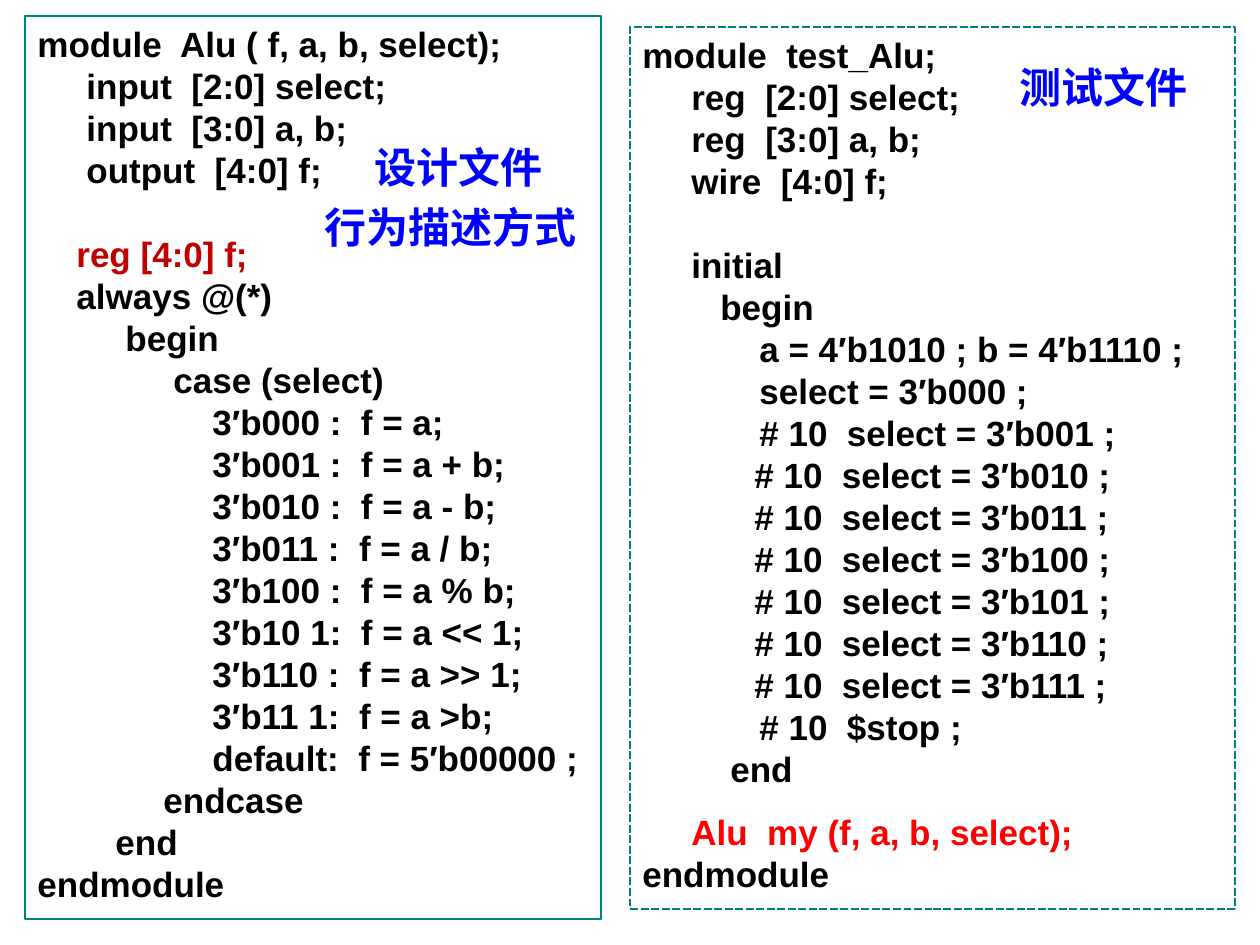
from lxml import etree
from pptx import Presentation
from pptx.dml.color import RGBColor
from pptx.enum.dml import MSO_LINE
from pptx.enum.shapes import MSO_SHAPE
from pptx.enum.text import MSO_ANCHOR, PP_ALIGN
from pptx.oxml.ns import qn
from pptx.util import Emu, Pt

RECT = MSO_SHAPE.RECTANGLE
SOLID, DASH = MSO_LINE.SOLID, MSO_LINE.SQUARE_DOT
TOP, MID, LEFT = MSO_ANCHOR.TOP, MSO_ANCHOR.MIDDLE, PP_ALIGN.LEFT
SCALE = 914400 / 126
BLACK, TEAL, BLUE, RED, DARK = "000000", "008080", "0000FF", "FF0000", "C00000"
CODE = {"name": "Arial", "size": Pt(20), "bold": True}
NOTE = {"name": "Noto Sans CJK SC", "size": Pt(24), "bold": True}

CASES = ["3′b000 :  f = a;", "3′b001 :  f = a + b;", "3′b010 :  f = a - b;",
         "3′b011 :  f = a / b;", "3′b100 :  f = a % b;", "3′b10 1:  f = a << 1;",
         "3′b110 :  f = a >> 1;", "3′b11 1:  f = a >b;", "default:  f = 5′b00000 ;"]
DESIGN = [
    (0, "module  Alu ( f, a, b, select);"),
    (49, "input  [2:0] select;"),
    (49, "input  [3:0] a, b;"),
    (49, "output  [4:0] f;"),
    (39, "reg [4:0] f;", DARK, 24),
    (39, "always @(*)"),
    (88, "begin"),
    (136, "case (select)"),
    *[(175, case) for case in CASES],
    (126, "endcase"),
    (78, "end"),
    (0, "endmodule"),
]
TEST = [
    (0, "module  test_Alu;"),
    (49, "reg  [2:0] select;"),
    (49, "reg  [3:0] a, b;"),
    (49, "wire  [4:0] f;"),
    (49, "initial", BLACK, 24),
    (78, "begin"),
    (117, "a = 4′b1010 ; b = 4′b1110 ;"),
    (117, "select = 3′b000 ;"),
    (117, "# 10  select = 3′b001 ;"),
    *[(112, f"# 10  select = 3′b{n:03b} ;") for n in range(2, 8)],
    (117, "# 10  $stop ;"),
    (88, "end"),
    (49, "Alu  my (f, a, b, select);", RED, 12),
    (0, "endmodule"),
]
NOTES = [("设计文件", 362, 135, 208), ("测试文件", 1007, 55, 208),
         ("行为描述方式", 312, 195, 287)]


def px(n):
    return Emu(round(n * SCALE))


def rgb(code):
    return RGBColor.from_string(code)


def style(item, form):
    for key, value in form.items():
        setattr(item, key, value)


def add_run(para, text, form, color):
    run = para.add_run()
    run.text = text
    style(run.font, form)
    run.font.color.rgb = rgb(color)
    east = etree.SubElement(run.font._element, qn("a:ea"))
    east.set("typeface", form["name"])


def add_code(slide, lines, box, dash):
    panel = slide.shapes.add_shape(RECT, *map(px, box))
    panel.shadow.inherit = False
    panel.fill.background()
    panel.line.color.rgb = rgb(TEAL)
    style(panel.line, {"width": Pt(1.5), "dash_style": dash})
    frame = panel.text_frame
    style(frame, {"word_wrap": True, "vertical_anchor": TOP})
    for i, (indent, text, *rest) in enumerate(lines):
        color, gap = rest or (BLACK, 0)
        para = frame.add_paragraph() if i else frame.paragraphs[0]
        style(para, {"alignment": LEFT, "line_spacing": Pt(24),
                     "space_before": Pt(gap)})
        para._p.get_or_add_pPr().set("marL", str(px(indent)))
        add_run(para, text, CODE, color)


def add_note(slide, text, left, top, width):
    box = slide.shapes.add_textbox(px(left), px(top), px(width), px(63))
    frame = box.text_frame
    style(frame, {"word_wrap": True, "vertical_anchor": MID})
    add_run(frame.paragraphs[0], text, NOTE, BLUE)


def main():
    deck = Presentation()
    style(deck, {"slide_width": px(1260), "slide_height": px(945)})
    slide = deck.slides.add_slide(deck.slide_layouts[6])
    add_code(slide, DESIGN, (25, 16, 576, 903), SOLID)
    add_code(slide, TEST, (630, 27, 605, 882), DASH)
    for note in NOTES:
        add_note(slide, *note)
    deck.save("out.pptx")


if __name__ == "__main__":
    main()
